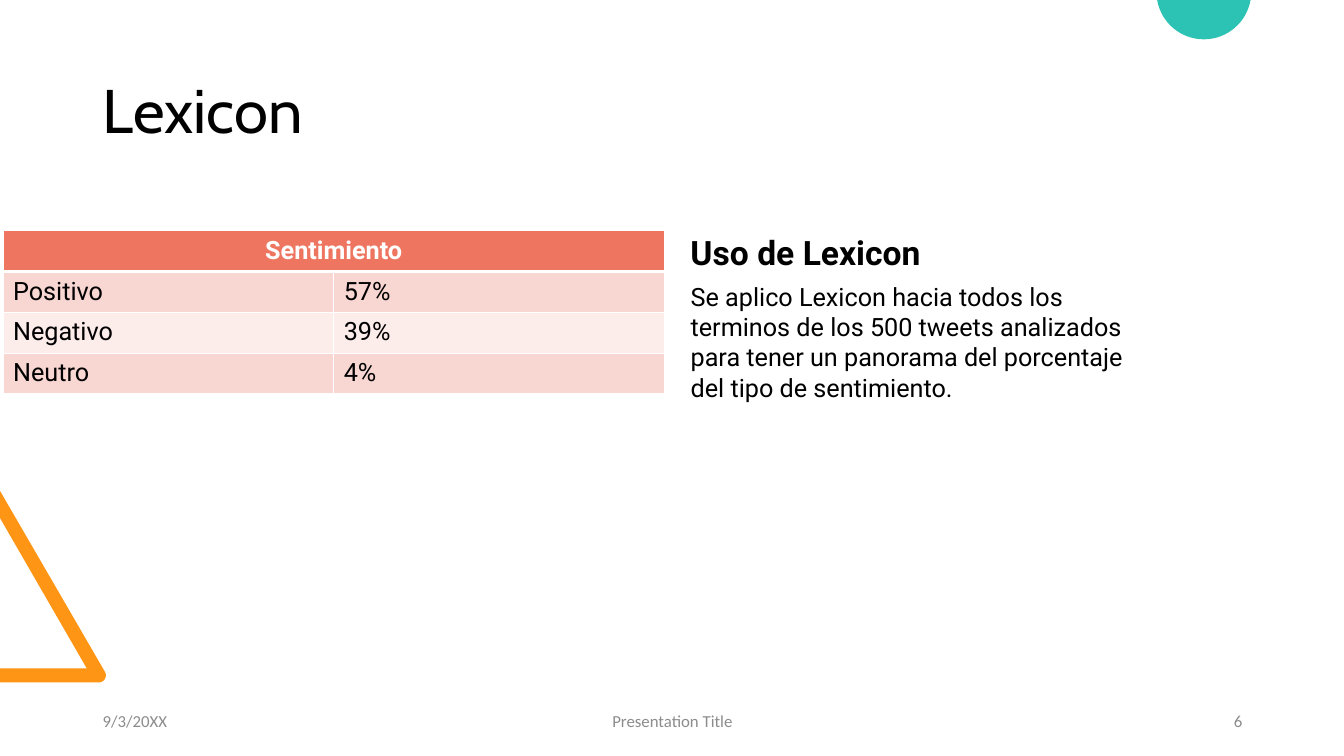
import math
from dataclasses import dataclass
from lxml import etree
from pptx import Presentation
from pptx.dml.color import RGBColor
from pptx.enum import text as t
from pptx.oxml import ns
from pptx.util import Inches, Pt

# Content
TITLE = "Lexicon"
HEADING = "Uso de Lexicon"
BODY = ("Se aplico Lexicon hacia todos los terminos de los 500 tweets analizados "
        "para tener un panorama del porcentaje del tipo de sentimiento.")
TABLE_HEAD = "Sentimiento"
SENTIMENTS = [("Positivo", "57%"), ("Negativo", "39%"), ("Neutro", "4%")]
LEFT, CENTER, RIGHT = t.PP_ALIGN.LEFT, t.PP_ALIGN.CENTER, t.PP_ALIGN.RIGHT
FOOTERS = [("9/3/20XX", 0.92, 3, LEFT),
           ("Presentation Title", 4.42, 4.5, CENTER),
           ("6", 9.42, 3, RIGHT)]


@dataclass(frozen=True)
class Theme:
    ink: str = "000000"
    white: str = "FFFFFF"
    muted: str = "8C8C8C"
    teal: str = "2CC3B4"
    orange: str = "FF9514"
    head: str = "EE7661"
    bands: tuple = ("F8D6D2", "FCECEA")
    title_font: str = "Cabin"
    text_font: str = "Roboto"
    footer_font: str = "Calibri"
    title: int = 44
    heading: int = 24
    text: int = 18
    footer: int = 12


TH = Theme()
MIDDLE, TOP = t.MSO_ANCHOR.MIDDLE, t.MSO_ANCHOR.TOP


def write(tf, words, font, size, color, bold=False, align=LEFT):
    p = tf.paragraphs[0]
    p.alignment = align
    r = p.add_run()
    r.text = words
    for name, value in {"name": font, "size": Pt(size), "bold": bold}.items():
        setattr(r.font, name, value)
    r.font.color.rgb = RGBColor.from_string(color)
    return p


def place(sp, left, top, width, height, anchor):
    sp.left, sp.top, sp.width, sp.height = map(Inches, (left, top, width, height))
    frame = {"word_wrap": True, "auto_size": t.MSO_AUTO_SIZE.NONE,
             "vertical_anchor": anchor}
    for name, value in frame.items():
        setattr(sp.text_frame, name, value)
    return sp.text_frame


def arc(cx, cy, radius, start, end, steps=32):
    angles = [math.radians(start + (end - start) * i / steps) for i in range(steps + 1)]
    return [(cx + radius * math.cos(a), cy + radius * math.sin(a)) for a in angles]


def outline(s, points, color):
    # The builder keeps whole units only, so points are given in EMU
    start, *rest = [(Inches(x), Inches(y)) for x, y in points]
    builder = s.shapes.build_freeform(*start)
    builder.add_line_segments(rest, close=True)
    sp = builder.convert_to_shape()
    sp.shadow.inherit = False
    sp.fill.solid()
    sp.fill.fore_color.rgb = RGBColor.from_string(color)
    sp.line.fill.background()


def fill_cell(cell, color, top=1, bottom=1):
    tc_pr = cell._tc.get_or_add_tcPr()
    for side, width in {"L": 1, "R": 1, "T": top, "B": bottom}.items():
        ln = etree.SubElement(tc_pr, ns.qn(f"a:ln{side}"), w=str(Pt(width)))
        fill = etree.SubElement(ln, ns.qn("a:solidFill"))
        etree.SubElement(fill, ns.qn("a:srgbClr"), val=TH.white)
    cell.fill.solid()
    cell.fill.fore_color.rgb = RGBColor.from_string(color)


def add_sentiment_table(s):
    rows = len(SENTIMENTS) + 1
    table = s.shapes.add_table(rows, 2, Inches(0.03), Inches(2.29),
                               Inches(6.56), Inches(1.62)).table
    for cell in table.rows[0].cells:
        fill_cell(cell, TH.head, bottom=3)
    table.cell(0, 0).merge(table.cell(0, 1))
    write(table.cell(0, 0).text_frame, TABLE_HEAD, TH.text_font, TH.text,
          TH.white, True, CENTER)
    for i, values in enumerate(SENTIMENTS):
        for j, value in enumerate(values):
            cell = table.cell(i + 1, j)
            fill_cell(cell, TH.bands[i % 2], top=1 if i else 3)
            write(cell.text_frame, value, TH.text_font, TH.text, TH.ink)


def main():
    prs = Presentation()
    prs.slide_width, prs.slide_height = Inches(13.33), Inches(7.5)
    s = prs.slides.add_slide(prs.slide_layouts[1])
    title, body = s.placeholders

    # Corner decorations: triangle cut by the left edge, disc cut by the top
    corner = arc(0.98, 6.7, 0.07, -30, 90)
    outline(s, [(0, 6.77), (0, 6.63), (0.86, 6.63), (0, 5.14), (0, 4.87)] + corner,
            TH.orange)
    dip = math.degrees(math.asin(0.08 / 0.47))
    outline(s, arc(11.94, -0.08, 0.47, dip, 180 - dip), TH.teal)

    # Title
    tf = place(title, 0.92, 0.4, 11.5, 1.45, MIDDLE)
    p = write(tf, TITLE, TH.title_font, TH.title, TH.ink)
    p.line_spacing = 0.9

    # Table
    add_sentiment_table(s)

    # Explanation
    tf = place(body, 6.75, 2.74, 4.72, 1.31, TOP)
    p = write(tf, BODY, TH.text_font, TH.text, TH.ink)
    p.space_before = Pt(0)
    p_pr = p._p.get_or_add_pPr()
    p_pr.set("marL", "0")
    p_pr.set("indent", "0")
    etree.SubElement(p_pr, ns.qn("a:buNone"))
    heading = s.shapes.add_textbox(0, 0, 0, 0)
    write(place(heading, 6.75, 2.25, 4.72, 0.5, TOP), HEADING,
          TH.text_font, TH.heading, TH.ink, True)

    # Footer
    for words, left, width, align in FOOTERS:
        tf = place(s.shapes.add_textbox(0, 0, 0, 0), left, 6.95, width, 0.4, MIDDLE)
        write(tf, words, TH.footer_font, TH.footer, TH.muted, align=align)

    prs.save("out.pptx")


if __name__ == "__main__":
    main()
